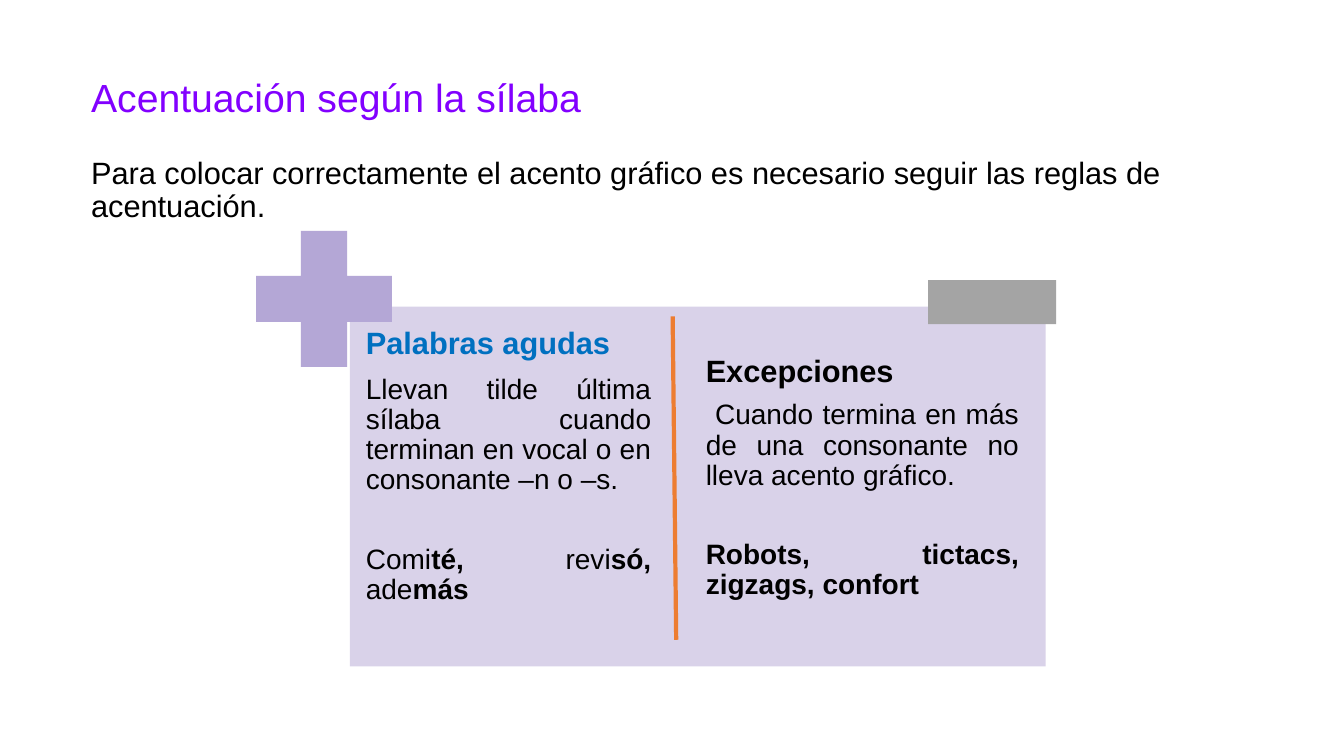
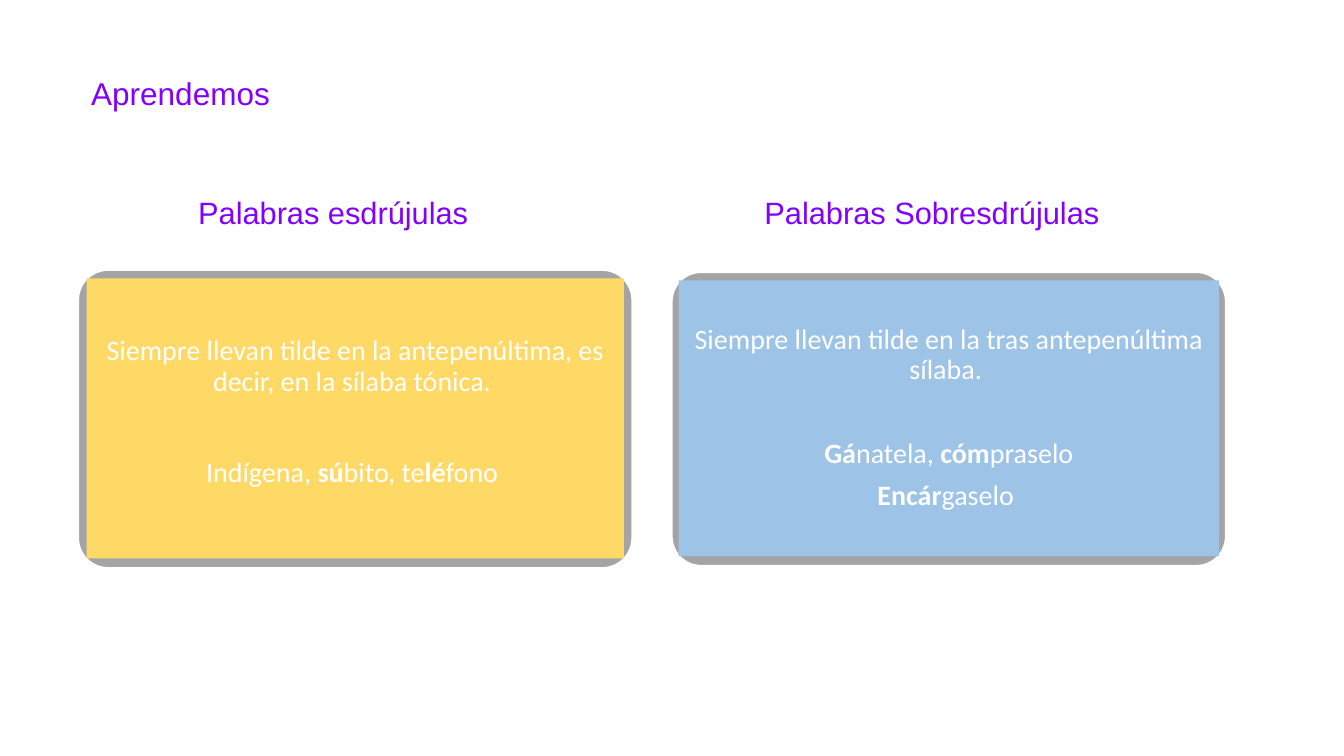
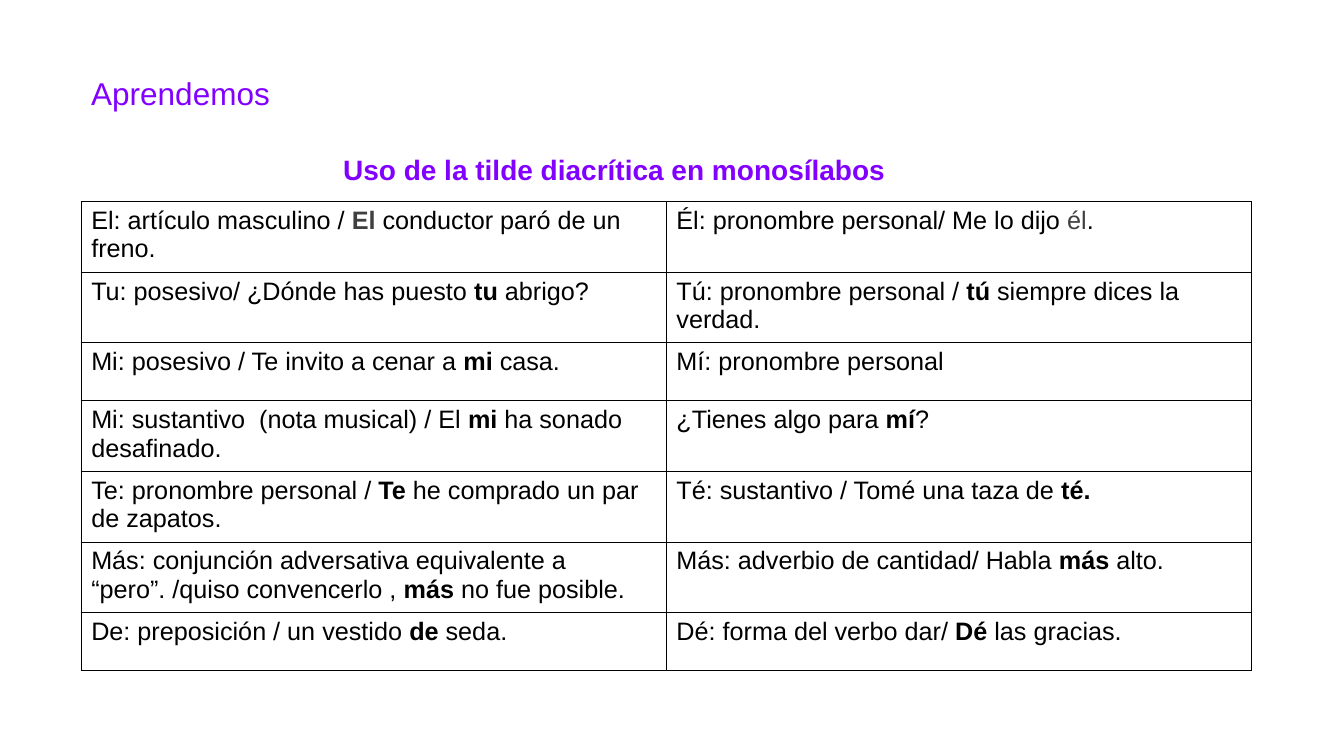
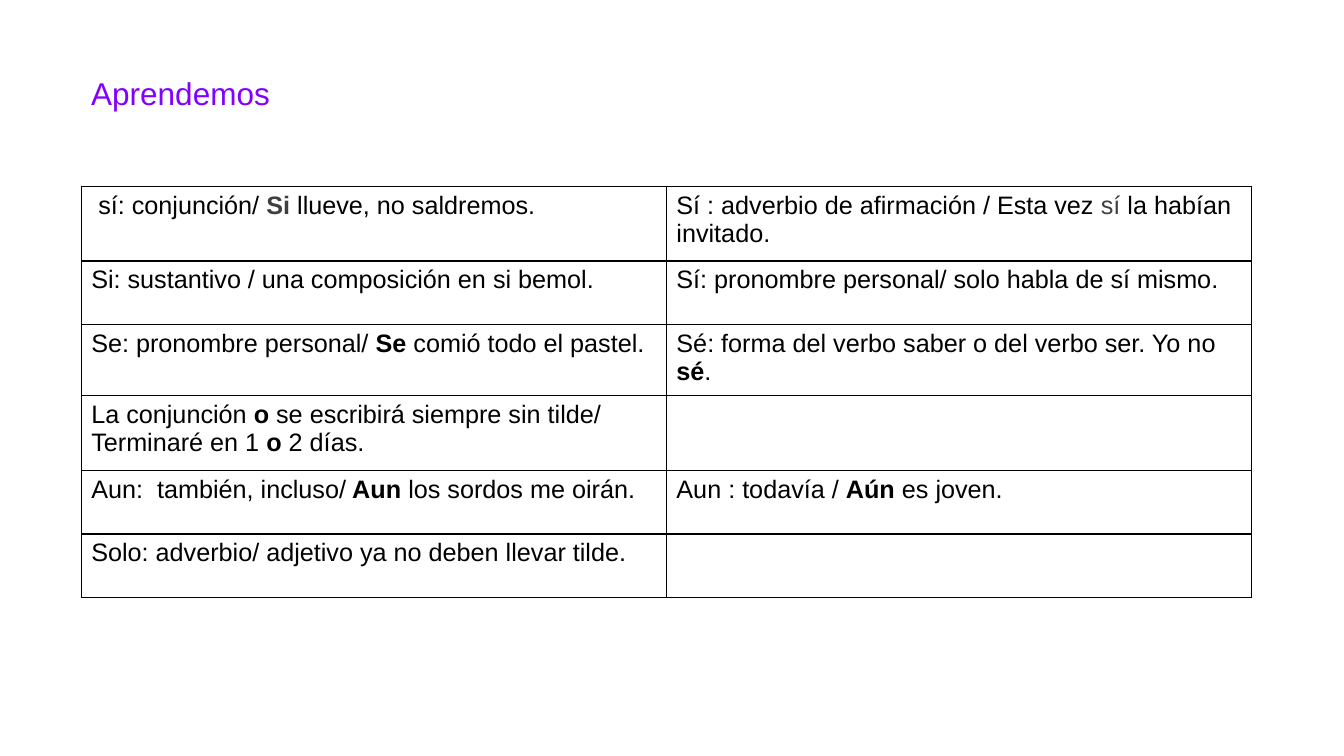
from lxml.etree import SubElement
from pptx import Presentation
from pptx.dml.color import RGBColor
from pptx.enum.shapes import MSO_CONNECTOR, MSO_SHAPE
from pptx.enum.text import MSO_ANCHOR, PP_ALIGN
from pptx.oxml.ns import qn
from pptx.util import Pt

BLACK, WHITE, CHARCOAL = "000000", "FFFFFF", "3F3F3F"
VIOLET, LILAC, LAVENDER = "8200FF", "D9D2E9", "B4A7D6"
BLUE, SKY, YELLOW = "0070C0", "9DC3E6", "FFD966"
GREY, ORANGE = "A4A4A4", "ED7D31"

DIACRITIC_ROWS = [
    ("El: artículo masculino / ~*El *~conductor paró de un freno.",
     "Él: pronombre personal/ Me lo dijo ~él~."),
    ("Tu: posesivo/ ¿Dónde has puesto *tu* abrigo?",
     "Tú: pronombre personal / *tú* siempre dices la verdad."),
    ("Mi: posesivo / Te invito a cenar a *mi *casa.",
     "Mí: pronombre personal"),
    ("Mi: sustantivo  (nota musical) / El *mi* ha sonado desafinado.",
     "¿Tienes algo para *mí*?"),
    ("Te: pronombre personal / *Te* he comprado un par de zapatos.",
     "Té: sustantivo / Tomé una taza de* té.*"),
    ("Más: conjunción adversativa equivalente a “pero”. /quiso convencerlo , *más* no fue posible.",
     "Más: adverbio de cantidad/ Habla* más *alto."),
    ("De: preposición / un vestido *de *seda.",
     "Dé: forma del verbo dar/ *Dé* las gracias."),
]
MORE_ROWS = [
    (" sí: conjunción/~* Si *~llueve, no saldremos.",
     "Sí : adverbio de afirmación / Esta vez~ sí ~la habían invitado."),
    ("Si: sustantivo / una composición en si bemol.",
     "Sí: pronombre personal/ solo habla de sí mismo."),
    ("Se: pronombre personal/ *Se *comió todo el pastel.",
     "Sé: forma del verbo saber o del verbo ser. Yo no *sé*."),
    ("La conjunción *o *se escribirá siempre sin tilde/ Terminaré en 1* o *2 días.", ""),
    ("Aun:  también, incluso/* Aun *los sordos me oirán.",
     "Aun : todavía / *Aún* es joven."),
    ("Solo: adverbio/ adjetivo ya no deben llevar tilde.", ""),
]


def rgb(value):
    """Turn a hex string into a colour."""
    return RGBColor.from_string(value)


def points(*values):
    """Turn numbers of points into lengths."""
    return [Pt(value) for value in values]


def write(para, text, size, color=BLACK, font="Arial", align=None, before=0, spacing=0.9):
    """Fill a paragraph; *marks* make bold text and ~marks~ make charcoal text."""
    para.alignment = align
    para.line_spacing = spacing
    para.space_before = Pt(before)
    para.font.name, para.font.size = font, Pt(size)
    para.font.color.rgb = rgb(color)
    for tone, part in enumerate(text.split("~")):
        for weight, words in enumerate(part.split("*")):
            if words:
                span = para.add_run()
                span.text = words
                if weight % 2:
                    span.font.bold = True
                if tone % 2:
                    span.font.color.rgb = rgb(CHARCOAL)


def set_frame(frame, inset, anchor):
    """Set wrapping, anchor and the horizontal and vertical insets of a frame."""
    frame.word_wrap = True
    frame.vertical_anchor = anchor
    frame.margin_left = frame.margin_right = Pt(inset[0])
    frame.margin_top = frame.margin_bottom = Pt(inset[1])


def write_all(frame, paragraphs, **style):
    """Write (text, options) pairs as the paragraphs of a frame."""
    for index, (text, options) in enumerate(paragraphs):
        para = frame.add_paragraph() if index else frame.paragraphs[0]
        write(para, text, **{**style, **options})


def add_text(page, box, paragraphs, inset=(7.2, 3.6), anchor=MSO_ANCHOR.TOP, **style):
    """Add a text box."""
    frame = page.shapes.add_textbox(*points(*box)).text_frame
    set_frame(frame, inset, anchor)
    write_all(frame, paragraphs, **style)


def add_block(page, kind, box, fill, line=None, adjust=None):
    """Add a filled preset shape."""
    block = page.shapes.add_shape(kind, *points(*box))
    block.shadow.inherit = False
    block.fill.solid()
    block.fill.fore_color.rgb = rgb(fill)
    if line:
        block.line.color.rgb = rgb(line)
        block.line.width = Pt(1)
    else:
        block.line.fill.background()
    if adjust is not None:
        block.adjustments[0] = adjust
    return block


def add_page(deck, title, size=22.5):
    """Add a blank slide with its title."""
    page = deck.slides.add_slide(deck.slide_layouts[6])
    add_text(page, (58, 52.5, 845, 30), [(title, {})], size=size, color=VIOLET)
    return page


def add_heading(page, box, text, size=22, color=VIOLET):
    """Add a line of text centred on the height of its box."""
    add_text(page, box, [(text, {})], anchor=MSO_ANCHOR.MIDDLE, size=size, color=color)


def add_comparison(page, box):
    """Add the panel that sets the rule against its exceptions."""
    left, top, width, height = box
    justified = {"align": PP_ALIGN.JUSTIFY}
    add_block(page, MSO_SHAPE.RECTANGLE, box, LILAC)
    add_text(page, (left + 7, top + 11, 212.5, 198), [
        ("*Palabras agudas*", {"size": 22, "color": BLUE}),
        ("Llevan tilde última sílaba cuando terminan en vocal o en consonante –n o –s. ",
         {"before": 9.8, **justified}),
        ("Comi*té, *revi*só, *ade*más*", {"before": 35, **justified}),
    ], inset=(4.3, 4.3), size=20)
    add_text(page, (left + 250.5, top + 31.5, 231, 219.5), [
        ("*Excepciones*", {"size": 22}),
        (" Cuando termina en más de una consonante no lleva acento gráfico. ", {"before": 8.4}),
        ("*Robots, tictacs, zigzags, confort*", {"before": 35}),
    ], inset=(3.6, 3.6), size=20, **justified)
    add_block(page, MSO_SHAPE.CROSS, (left - 67, top - 54, 97, 97), LAVENDER, adjust=0.33)
    add_block(page, MSO_SHAPE.RECTANGLE, (left + width - 84, top - 19, 91.5, 31.5), GREY)
    divider = page.shapes.add_connector(
        MSO_CONNECTOR.STRAIGHT,
        *points(left + 230.5, top + 7, left + 233, top + height - 19))
    divider.line.color.rgb = rgb(ORANGE)
    divider.line.width = Pt(3)
    SubElement(divider._element.spPr, qn("a:effectLst"))


def add_card(page, box, heading, indent, fill, border, inset, paragraphs):
    """Add a heading above a rounded frame with a coloured text area."""
    left, top, width, height = box
    add_heading(page, (left + indent, 132, width, 42.5), heading)
    add_block(page, MSO_SHAPE.ROUNDED_RECTANGLE, box, GREY, line=WHITE, adjust=0.1)
    area = add_block(page, MSO_SHAPE.RECTANGLE,
                     (left + border, top + 5.8, width - 2 * border, height - 12.5), fill)
    set_frame(area.text_frame, inset, MSO_ANCHOR.MIDDLE)
    write_all(area.text_frame, paragraphs, size=20, color=WHITE, font="Calibri",
              align=PP_ALIGN.CENTER)
    return area


def add_grid(page, box, rows, heights):
    """Add a two-column table with thin black borders."""
    grid = page.shapes.add_table(len(rows), 2, *points(*box, sum(heights))).table
    grid.first_row = grid.horz_banding = False
    for row, height, texts in zip(grid.rows, heights, rows):
        row.height = Pt(height)
        for cell, text in zip(row.cells, texts):
            cell.fill.background()
            write(cell.text_frame.paragraphs[0], text, 18, spacing=1.0)
            properties = cell._tc.get_or_add_tcPr()
            for index, side in enumerate(("a:lnL", "a:lnR", "a:lnT", "a:lnB")):
                border = properties.makeelement(qn(side), {"w": str(Pt(1))})
                properties.insert(index, border)
                SubElement(SubElement(border, qn("a:solidFill")), qn("a:srgbClr"), val=BLACK)


def main():
    """Build the four slides and save them."""
    deck = Presentation()
    deck.slide_width, deck.slide_height = points(960, 540)

    page = add_page(deck, "Acentuación según la sílaba", 28)
    add_heading(page, (58, 115, 845, 42.5),
                "Para colocar correctamente el acento gráfico es necesario seguir"
                " las reglas de acentuación.", color=BLACK)
    add_comparison(page, (250, 219, 497, 257))

    page = add_page(deck, "Aprendemos")
    area = add_card(page, (56, 193, 395.5, 212.5), "Palabras esdrújulas", 78.5, YELLOW, 5.8,
                    (3.6, 2.2), [
        ("Siempre llevan tilde en la antepenúltima, es decir, en la sílaba tónica. ", {}),
        ("Indígena, *sú*bito, te*lé*fono ", {"before": 43.5}),
    ])
    area.text_frame.margin_bottom = Pt(10.5)
    add_card(page, (480, 194.5, 395.5, 209.5), "Palabras Sobresdrújulas", 59, SKY, 4.7,
             (7.2, 7.2), [
        ("Siempre llevan tilde en la tras antepenúltima sílaba. ", {}),
        ("*Gá*natela, *cóm*praselo", {"before": 38}),
        ("*Encár*gaselo ", {"before": 8.4}),
    ])

    page = add_page(deck, "Aprendemos")
    add_grid(page, (58, 144, 836), DIACRITIC_ROWS, [49.5, 49.5, 41.5, 49.5, 49.5, 49.5, 41.5])
    add_heading(page, (238, 101.5, 476, 42.5), "*Uso de la tilde diacrítica en monosílabos*", 20)

    page = add_page(deck, "Aprendemos")
    add_grid(page, (58, 133, 836), MORE_ROWS, [53.5, 45.5, 45.5, 53.5, 45.5, 45.5])

    deck.save("out.pptx")


if __name__ == "__main__":
    main()
